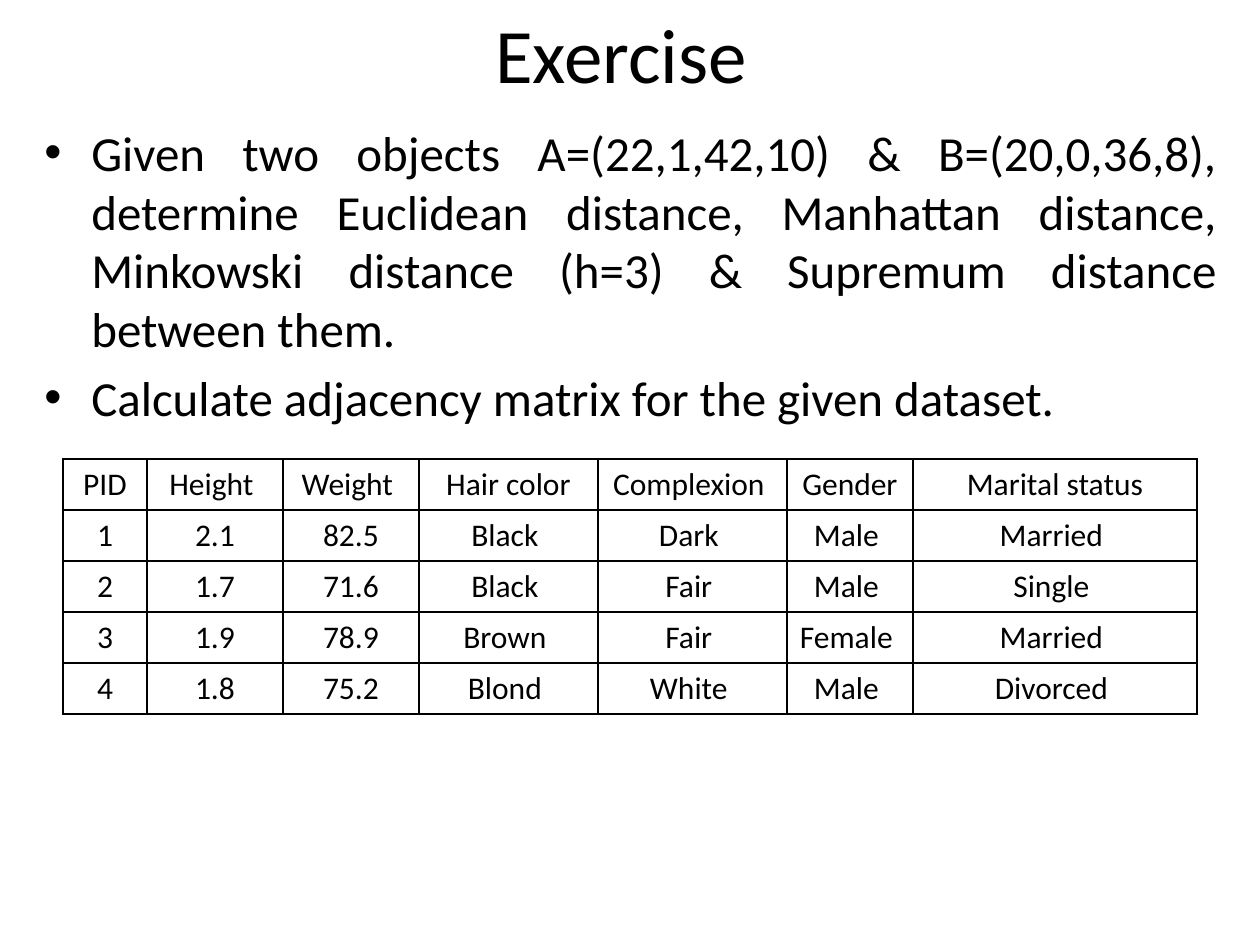
from dataclasses import dataclass

from lxml.etree import SubElement
from pptx import Presentation
from pptx.dml.color import RGBColor
from pptx.enum.text import MSO_ANCHOR, PP_ALIGN
from pptx.oxml import parse_xml
from pptx.oxml.ns import nsdecls, qn
from pptx.util import Emu, Pt

PX_PER_INCH = 126


def px(length):
    return Emu(round(length * 914400 / PX_PER_INCH))


@dataclass(frozen=True)
class Theme:
    font: str = "Calibri"
    ink: str = "000000"
    title_size: int = 44
    body_size: int = 28
    table_size: int = 18
    border_width: int = 1


class Page:
    def __init__(self, deck, theme):
        self.theme = theme
        self.slide = deck.slides.add_slide(deck.slide_layouts[6])

    def style(self, para, size, align):
        para.alignment = align
        para.font.name = self.theme.font
        para.font.size = Pt(size)
        para.font.color.rgb = RGBColor.from_string(self.theme.ink)

    def text_box(self, left, top, width, height):
        box = self.slide.shapes.add_textbox(px(left), px(top), px(width), px(height))
        box.text_frame.word_wrap = True
        return box.text_frame

    def title(self, text, *place):
        frame = self.text_box(*place)
        frame.vertical_anchor = MSO_ANCHOR.MIDDLE
        frame.text = text
        self.style(frame.paragraphs[0], self.theme.title_size, PP_ALIGN.CENTER)

    def bullets(self, items, *place, indent=47):
        frame = self.text_box(*place)
        frame.text = "\n".join(items)
        for index, para in enumerate(frame.paragraphs):
            if index:
                para.space_before = Pt(0.2 * self.theme.body_size)
            properties = para._p.get_or_add_pPr()
            properties.set("marL", str(px(indent)))
            properties.set("indent", str(-px(indent)))
            SubElement(properties, qn("a:buFont"), typeface="Arial")
            SubElement(properties, qn("a:buChar"), char="•")
            self.style(para, self.theme.body_size, PP_ALIGN.JUSTIFY)

    def border(self, cell):
        """Draw all four sides; the lines must come before the fill in the XML."""
        properties = cell._tc.get_or_add_tcPr()
        for index, side in enumerate("LRTB"):
            properties.insert(index, parse_xml(
                f'<a:ln{side} {nsdecls("a")} w="{Pt(self.theme.border_width)}">'
                f'<a:solidFill><a:srgbClr val="{self.theme.ink}"/></a:solidFill>'
                f'</a:ln{side}>'))

    def table(self, rows, left, top, widths, row_height):
        table = self.slide.shapes.add_table(
            len(rows), len(widths), px(left), px(top),
            px(sum(widths)), px(row_height * len(rows))).table
        table.first_row = table.horz_banding = False
        for column, width in zip(table.columns, widths):
            column.width = px(width)
        for row, texts in zip(table.rows, rows):
            row.height = px(row_height)
            for cell, text in zip(row.cells, texts):
                cell.text = text
                cell.fill.background()
                self.border(cell)
                self.style(cell.text_frame.paragraphs[0],
                           self.theme.table_size, PP_ALIGN.CENTER)


PEOPLE = [
    ("PID", "Height ", "Weight ", "Hair color", "Complexion ", "Gender ", "Marital status"),
    ("1", "2.1", "82.5", "Black ", "Dark ", "Male ", "Married "),
    ("2", "1.7", "71.6", "Black ", "Fair ", "Male ", "Single "),
    ("3", "1.9", "78.9", "Brown ", "Fair ", "Female ", "Married "),
    ("4", "1.8", "75.2", "Blond ", "White ", "Male ", "Divorced "),
]
TASKS = [
    "Given two objects A=(22,1,42,10) & B=(20,0,36,8), determine Euclidean distance, "
    "Manhattan distance, Minkowski distance (h=3) & Supremum distance between them.",
    "Calculate adjacency matrix for the given dataset.",
]


def main():
    deck = Presentation()
    deck.slide_width, deck.slide_height = px(1260), px(945)
    page = Page(deck, Theme())
    page.title("Exercise ", 63, 0, 1134, 105)
    page.bullets(TASKS, 32, 116, 1197, 357)
    page.table(PEOPLE, 63, 459, [84, 136, 136, 179, 189, 126, 284], 51)
    deck.save("out.pptx")


if __name__ == "__main__":
    main()
